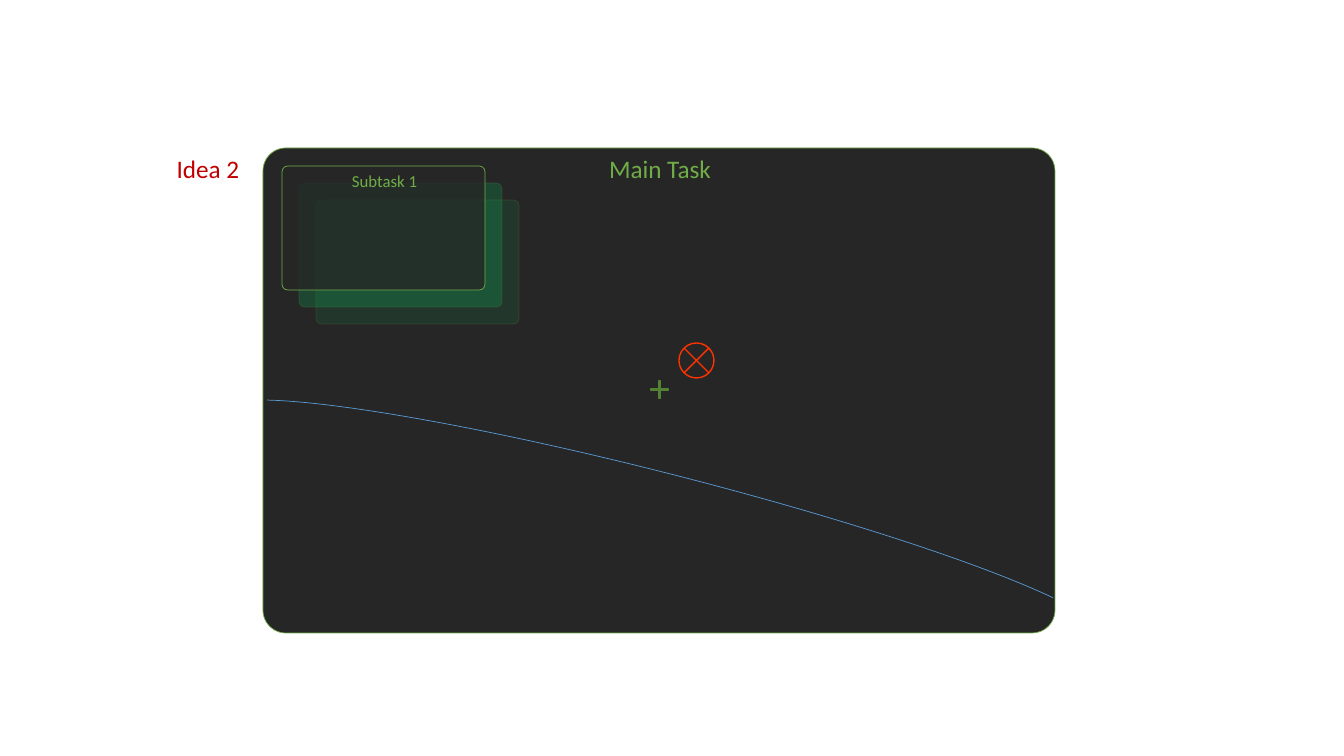
from pptx import Presentation
from pptx.dml.color import RGBColor
from pptx.enum.shapes import MSO_SHAPE
from pptx.enum.text import MSO_AUTO_SIZE, PP_ALIGN
from pptx.oxml.ns import qn
from pptx.util import Pt
from lxml import etree

PX = 914400 / 100.8
GREEN, DARK, MINT = "70AD47", "262626", "00CC66"


def paint(fmt, color, alpha=100):
    fmt.solid()
    fmt.fore_color.rgb = RGBColor.from_string(color)
    if alpha < 100:
        clr = fmt._xPr.find(qn("a:solidFill"))[0]
        etree.SubElement(clr, qn("a:alpha"), val=str(alpha * 1000))


def add_text(text, x, y, w, h, size=18, color=GREEN, wrap=False):
    tf = s.shapes.add_textbox(*[round(v * PX) for v in (x, y, w, h)]).text_frame
    tf.word_wrap = wrap
    tf.auto_size = MSO_AUTO_SIZE.SHAPE_TO_FIT_TEXT
    p = tf.paragraphs[0]
    p.alignment = PP_ALIGN.CENTER
    r = p.add_run()
    r.text = text
    r.font.name = "Calibri"
    r.font.size = Pt(size)
    r.font.color.rgb = RGBColor.from_string(color)


prs = Presentation()
prs.slide_width, prs.slide_height = round(1344 * PX), round(756 * PX)
s = prs.slides.add_slide(prs.slide_layouts[6])

# Shapes from back to front: kind, box, adjustments, fill, line, width, rotation
# A fill or line is a colour and its opacity in percent
panel = (MSO_SHAPE.ROUNDED_RECTANGLE, (263, 148, 792, 485), [0.047],
         (DARK, 100), (GREEN, 100), 0.5, 0)
junction = (MSO_SHAPE.FLOWCHART_SUMMING_JUNCTION, (679, 343, 35, 35), [],
            None, ("FF3300", 100), 1, 0)
plus = (MSO_SHAPE.MATH_PLUS, (647, 377, 25, 25), [0.043],
        None, ("548235", 100), 1, 0)
curve = (MSO_SHAPE.ARC, (207, 473, 907, 97), [109.711, 214.023],
         None, ("5B9BD5", 100), 0.5, 14.3)

# Stack of subtask cards, each 17 px further out than the one before it
card_styles = [((MINT, 10), 20), ((MINT, 20), 20), ((DARK, 80), 100)]
cards = [
    (MSO_SHAPE.ROUNDED_RECTANGLE, (316 - 17 * i, 200 - 17 * i, 203, 124), [0.047],
     fill, (GREEN, line_alpha), 0.5, 0)
    for i, (fill, line_alpha) in enumerate(card_styles)
]

for kind, box, adjustments, fill, line, width, rotation in [panel, junction, plus, curve, *cards]:
    sp = s.shapes.add_shape(kind, *[round(v * PX) for v in box])
    sp.shadow.inherit = False
    sp.rotation = rotation
    for i, value in enumerate(adjustments):
        sp.adjustments[i] = value
    if fill:
        paint(sp.fill, *fill)
    else:
        sp.fill.background()
    sp.line.width = Pt(width)
    color, alpha = line
    paint(sp.line.fill, color, alpha)

# Labels
add_text("Main Task", 522, 148, 276, 40, wrap=True)
add_text("Idea 2", 166, 148, 84, 40, color="C00000")
add_text("Subtask 1", 341, 166, 87, 30, size=12)

prs.save("out.pptx")
